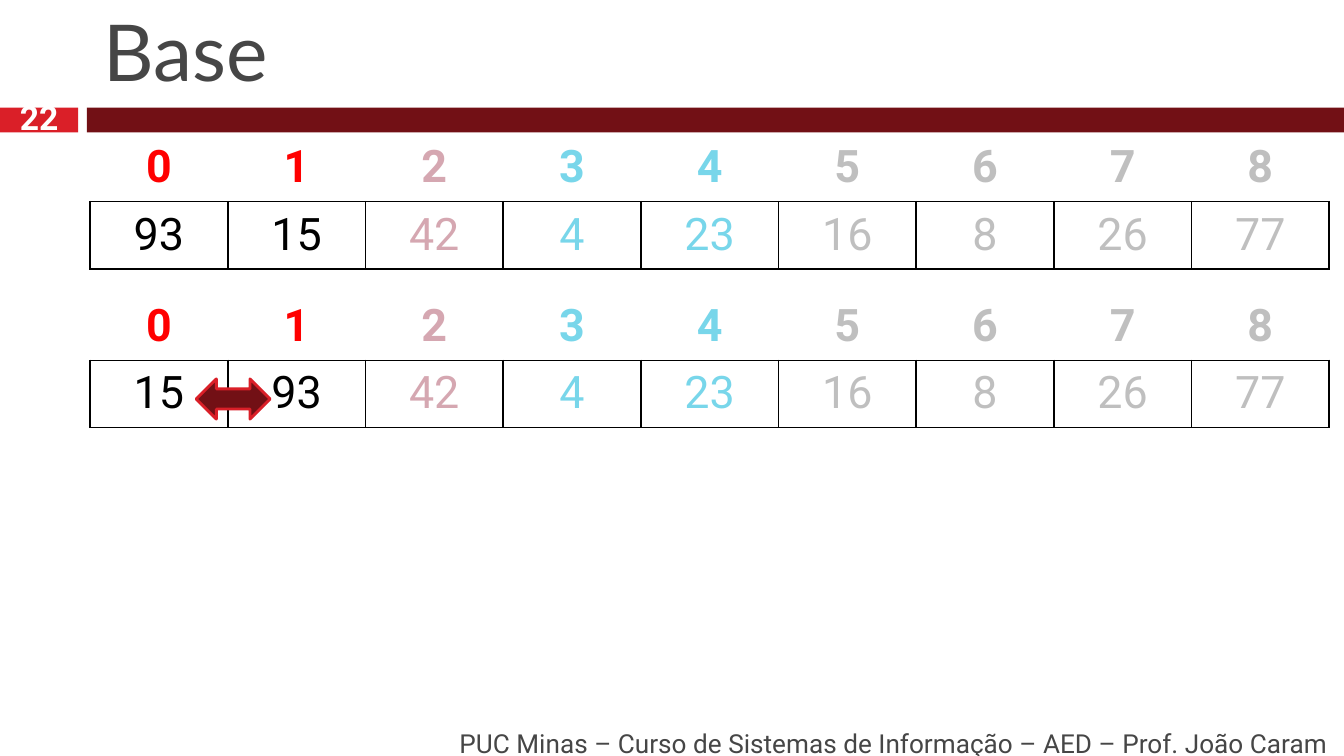
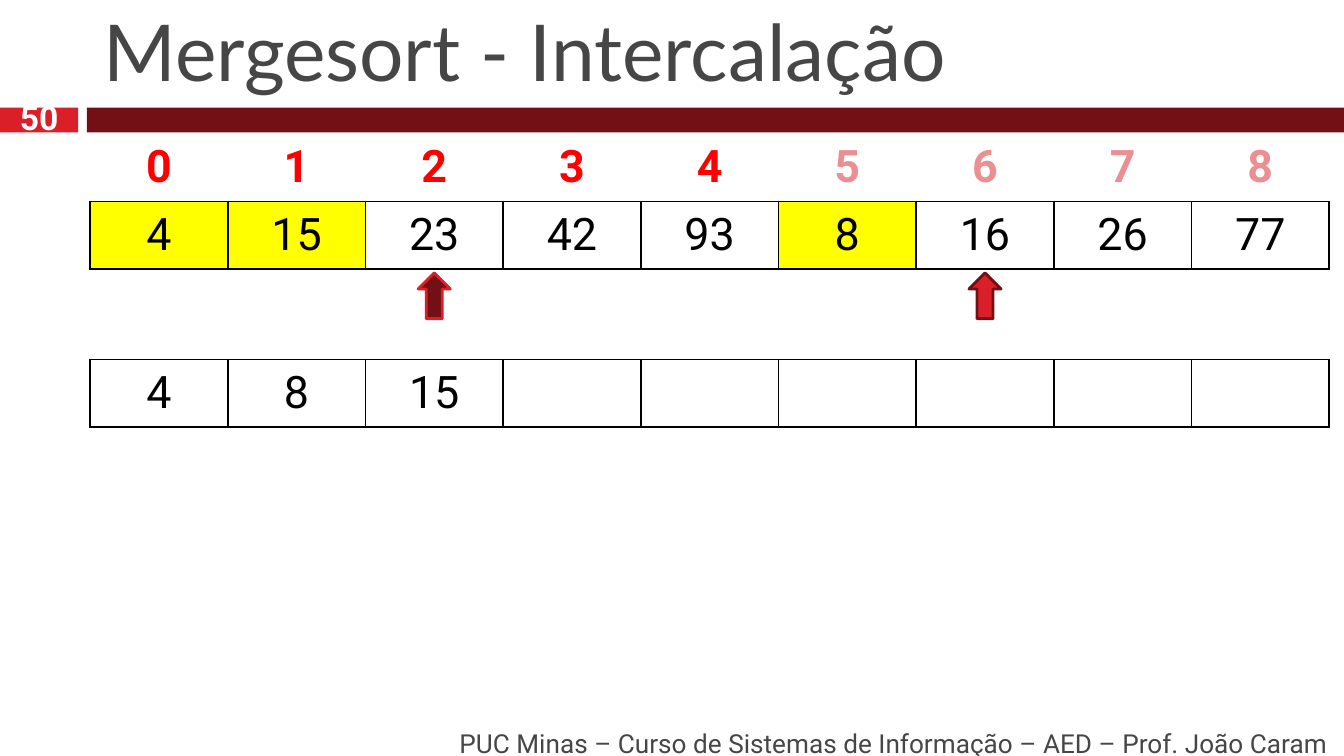
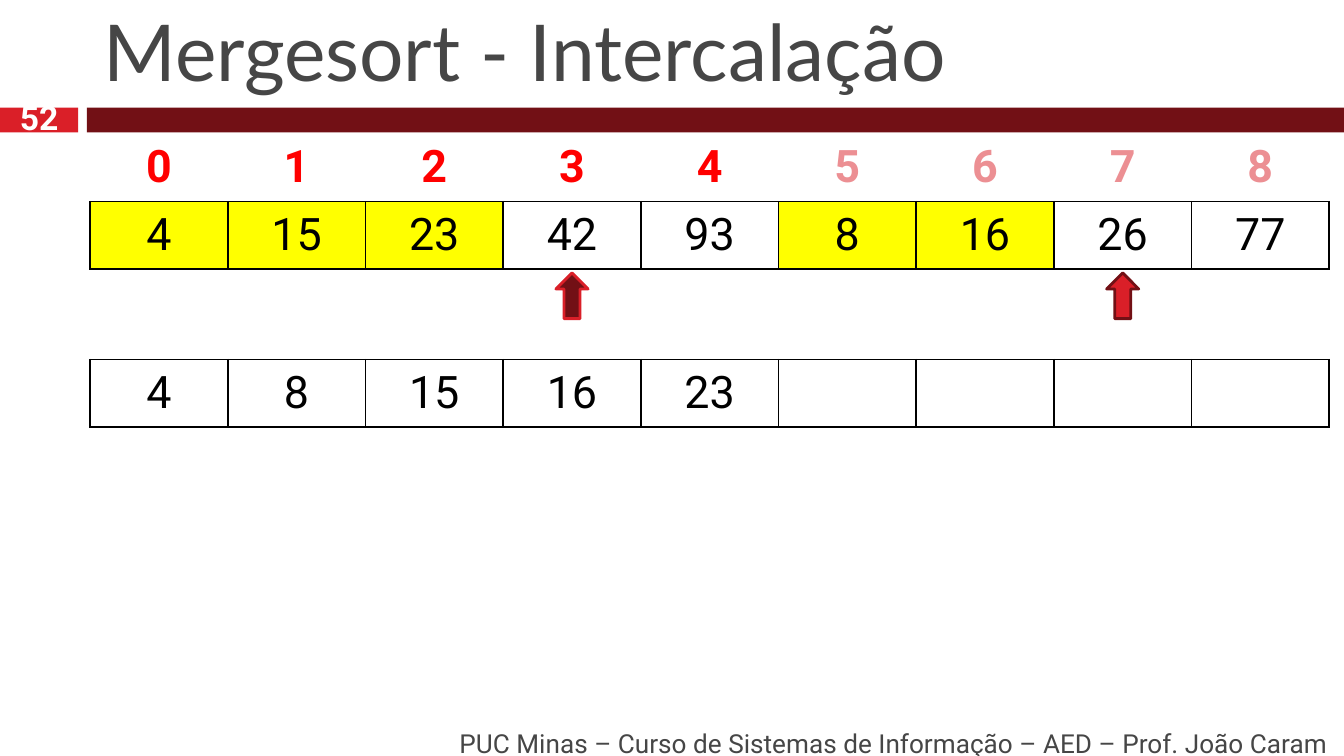
from dataclasses import dataclass
from lxml import etree
from pptx import Presentation
from pptx.dml.color import RGBColor
from pptx.enum import shapes as geo, text as txt
from pptx.oxml import ns
from pptx.util import Pt


# Colours and type
@dataclass(frozen=True)
class Theme:
    head: str = "Lato"
    body: str = "Roboto"
    title: int = 42
    cell: int = 24
    page: int = 18
    foot: int = 14
    ink: str = "464646"
    black: str = "000000"
    white: str = "FFFFFF"
    wine: str = "721015"
    red: str = "DA1F28"
    hot: str = "FF0000"
    pale: str = "EC8F93"
    rose: str = "D5A7B1"
    sky: str = "78D6EA"
    gray: str = "BFBFBF"
    mark: str = "FFFF00"


T = Theme()

# Content
FOOT = "PUC Minas – Curso de Sistemas de Informação – AED – Prof. João Caram"
COUNT = 9
DIM = [T.rose] + [T.sky] * 2 + [T.gray] * 4
BASE = {"heads": [T.hot] * 2 + DIM, "inks": [T.black] * 2 + DIM}
HALVES = {"heads": [T.hot] * 5 + [T.pale] * 4}
MERGE = "Mergesort - Intercalação"
SORTED = [4, 15, 23, 42, 93, 8, 16, 26, 77]

SLIDES = [
    {"title": "Base", "page": 22, "swap": True, "rows": [
        {"vals": [93, 15, 42, 4, 23, 16, 8, 26, 77], **BASE},
        {"vals": [15, 93, 42, 4, 23, 16, 8, 26, 77], **BASE}]},
    {"title": MERGE, "page": 50, "points": (2, 6), "rows": [
        {"vals": SORTED, "done": (0, 1, 5), **HALVES},
        {"vals": [4, 8, 15]}]},
    {"title": MERGE, "page": 52, "points": (3, 7), "rows": [
        {"vals": SORTED, "done": (0, 1, 2, 5, 6), **HALVES},
        {"vals": [4, 8, 15, 16, 23]}]},
]

# Grid, in points
LEFT, WIDE = 48.24, 663.84
STEP, HIGH = WIDE / COUNT, 35.7
TOPS = (72, 157)


def rgb(hue):
    return RGBColor.from_string(hue)


def box(*nums):
    return [Pt(n) for n in nums]


def write(frame, words, size, hue, font=T.body, bold=False, align=None):
    frame.text = str(words)
    par = frame.paragraphs[0]
    par.alignment = align
    for run in par.runs:
        run.font.name, run.font.size, run.font.bold = font, Pt(size), bold
        run.font.color.rgb = rgb(hue)


def label(slide, place, words, size, hue, align, bold=False, inset=0):
    frame = slide.shapes.add_textbox(*box(*place)).text_frame
    frame.word_wrap = True
    frame.vertical_anchor = txt.MSO_ANCHOR.MIDDLE
    frame.margin_left = frame.margin_right = Pt(inset)
    frame.margin_top = frame.margin_bottom = 0
    write(frame, words, size, hue, bold=bold, align=align)


def shape(slide, kind, place, fill, line=None, turn=0):
    item = slide.shapes.add_shape(kind, *box(*place))
    item.shadow.inherit = False
    item.rotation = turn
    item.fill.solid()
    item.fill.fore_color.rgb = rgb(fill)
    if line:
        item.line.color.rgb = rgb(line)
        item.line.width = Pt(1.5)
    else:
        item.line.fill.background()


def edge(cell, sides):
    props = cell._tc.get_or_add_tcPr()
    for spot, side in enumerate(sides):
        line = etree.Element(ns.qn(f"a:ln{side}"), w=str(Pt(1)))
        fill = etree.SubElement(line, ns.qn("a:solidFill"))
        etree.SubElement(fill, ns.qn("a:srgbClr"), val=T.black)
        props.insert(spot, line)


def array(slide, top, vals, heads=(), inks=(T.black,) * COUNT, done=()):
    grid = slide.shapes.add_table(2, COUNT, *box(LEFT, top, WIDE, 2 * HIGH)).table
    grid.first_row = grid.horz_banding = False
    for row in grid.rows:
        row.height = Pt(HIGH)
    for i, col in enumerate(grid.columns):
        col.width = Pt(STEP)
        head, cell = grid.cell(0, i), grid.cell(1, i)
        head.fill.background()
        edge(head, "B")
        if heads:
            write(head.text_frame, i, T.cell, heads[i], bold=True,
                  align=txt.PP_ALIGN.CENTER)
        cell.fill.solid()
        cell.fill.fore_color.rgb = rgb(T.mark if i in done else T.white)
        edge(cell, "LRTB")
        if i < len(vals):
            write(cell.text_frame, vals[i], T.cell, inks[i],
                  align=txt.PP_ALIGN.CENTER)


def frame_up(deck, title, page):
    """Add a slide with its title, bands, page number and footer."""
    slide = deck.slides.add_slide(deck.slide_layouts[5])
    rect = geo.MSO_SHAPE.RECTANGLE
    shape(slide, rect, (0, 57.6, 41.9, 13.4), T.red)
    shape(slide, rect, (46.6, 57.6, 673.4, 13.4), T.wine)
    head = slide.shapes.title
    head.left, head.top, head.width, head.height = box(LEFT, 9.4, WIDE, 46)
    head.text_frame.vertical_anchor = txt.MSO_ANCHOR.BOTTOM
    write(head.text_frame, title, T.title, T.ink, T.head,
          align=txt.PP_ALIGN.LEFT)
    label(slide, (76.3, 387.4, 642.2, 21.6), FOOT, T.foot, T.ink,
          txt.PP_ALIGN.RIGHT, inset=7.2)
    label(slide, (0, 55.4, 41.9, 14.4), page, T.page, T.white,
          txt.PP_ALIGN.CENTER, bold=True)
    return slide


def main():
    deck = Presentation()
    deck.slide_width, deck.slide_height = box(720, 405)
    for data in SLIDES:
        slide = frame_up(deck, data["title"], data["page"])
        for top, row in zip(TOPS, data["rows"]):
            array(slide, top, **row)
        # Swap arrow between the first two cells
        if data.get("swap"):
            shape(slide, geo.MSO_SHAPE.LEFT_RIGHT_ARROW,
                  (105.1, 203, 39.6, 21.6), T.wine, T.red)
        # Pointers to the next value of each half
        hues = ((T.wine, T.red), (T.red, T.wine))
        for i, (fill, line) in zip(data.get("points", ()), hues):
            mid = LEFT + (i + 0.5) * STEP
            shape(slide, geo.MSO_SHAPE.DOWN_ARROW,
                  (mid - 8.6, 146.2, 17.2, 24.5), fill, line, turn=180)
    deck.save("out.pptx")


if __name__ == "__main__":
    main()
